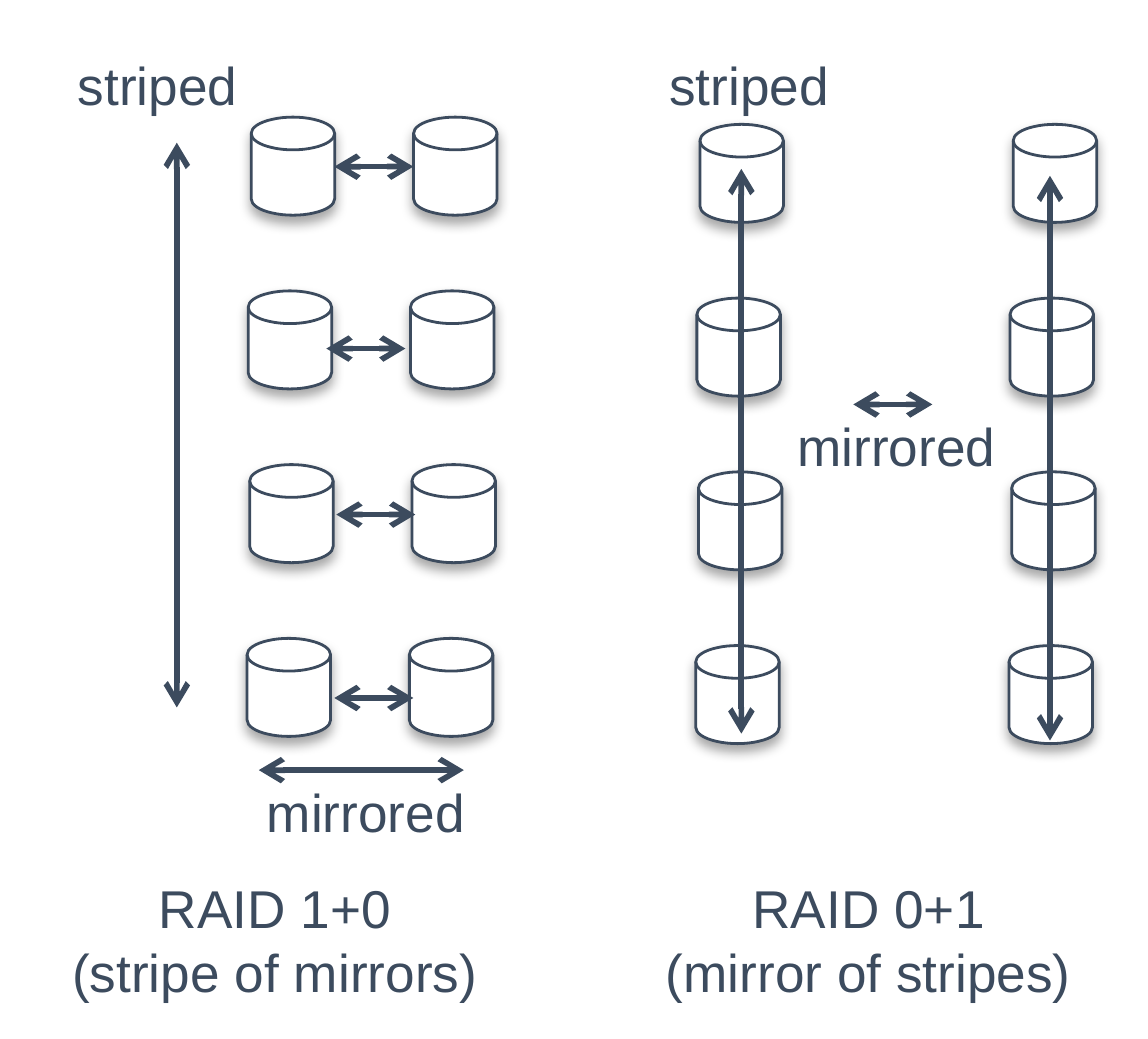
from lxml.etree import SubElement
from pptx import Presentation
from pptx.dml.color import RGBColor
from pptx.enum.shapes import MSO_CONNECTOR, MSO_SHAPE
from pptx.enum.text import MSO_AUTO_SIZE, PP_ALIGN
from pptx.oxml import parse_xml
from pptx.oxml.ns import qn
from pptx.util import Pt

COLORS = {"ink": "3C4B5E", "disk": "FFFFFF", "shadow": "000000"}
FONT = "Arial"
DISK_WIDTH, DISK_HEIGHT, ROW_PITCH = 22, 25.8, 45.75
ROW_SHIFTS = [0, -0.8, -0.4, -1.1]

SCHEMES = [
    {
        "disks": {"left": 66.2, "top": 30.9, "gap": 42.75},
        "arrows": [
            (88.1, 43.9, 108.9, 43.9),
            (86, 91.8, 106.8, 91.8),
            (88.1, 183.8, 108.9, 183.8),
            (88.6, 135.5, 109.4, 135.5),
            (68.2, 202.8, 122.2, 202.8),
            (46.6, 37.6, 46.6, 186.3),
        ],
        "labels": [
            ("mirrored", 63.2, 201.6, 68.4, 24.2, PP_ALIGN.LEFT),
            ("striped", 13.4, 10.3, 59, 24.2, PP_ALIGN.LEFT),
            ("RAID 1+0\n(stripe of mirrors)", 10.5, 227, 124, 41.2, PP_ALIGN.CENTER),
        ],
    },
    {
        "disks": {"left": 184.4, "top": 32.8, "gap": 82.5},
        "arrows": [
            (224.8, 106.5, 245.6, 106.5),
            (195.3, 44.5, 195.3, 193.2),
            (276.6, 46.3, 276.6, 195),
        ],
        "labels": [
            ("mirrored", 203, 105.2, 68.4, 24.2, PP_ALIGN.LEFT),
            ("striped", 169.2, 10.3, 59, 24.2, PP_ALIGN.LEFT),
            ("RAID 0+1\n(mirror of stripes)", 166.6, 227, 124.5, 41.2, PP_ALIGN.CENTER),
        ],
    },
]

SHADOW = (
    '<a:effectLst xmlns:a="http://schemas.openxmlformats.org/drawingml/2006/main">'
    f'<a:outerShdw blurRad="{Pt(3.1)}" dist="{Pt(1.8)}" dir="5400000" rotWithShape="0">'
    f'<a:srgbClr val="{COLORS["shadow"]}"><a:alpha val="35000"/></a:srgbClr>'
    "</a:outerShdw></a:effectLst>"
)


def color(name):
    return RGBColor.from_string(COLORS[name])


def add_disk(group, left, top):
    disk = group.shapes.add_shape(
        MSO_SHAPE.FLOWCHART_MAGNETIC_DISK, Pt(left), Pt(top), Pt(DISK_WIDTH), Pt(DISK_HEIGHT)
    )
    disk.fill.solid()
    disk.fill.fore_color.rgb = color("disk")
    disk.line.color.rgb = color("ink")
    disk.line.width = Pt(0.75)
    disk._element.spPr.append(parse_xml(SHADOW))


def add_arrow(group, ends):
    arrow = group.shapes.add_connector(MSO_CONNECTOR.STRAIGHT, *map(Pt, ends))
    arrow.line.color.rgb = color("ink")
    arrow.line.width = Pt(1.5)
    properties = arrow._element.spPr
    for end in ("a:headEnd", "a:tailEnd"):
        SubElement(properties.find(qn("a:ln")), qn(end), type="arrow")
    SubElement(properties, qn("a:effectLst"))


def add_label(group, text, left, top, width, height, alignment):
    box = group.shapes.add_textbox(Pt(left), Pt(top), Pt(width), Pt(height))
    box.text_frame.word_wrap = False
    box.text_frame.auto_size = MSO_AUTO_SIZE.SHAPE_TO_FIT_TEXT
    para = box.text_frame.paragraphs[0]
    para.text = text
    para.alignment = alignment
    para.font.name = FONT
    para.font.size = Pt(14)
    para.font.color.rgb = color("ink")


def add_scheme(page, scheme):
    group = page.shapes.add_group_shape()
    disks = scheme["disks"]
    for row, shift in enumerate(ROW_SHIFTS):
        for column in range(2):
            left = disks["left"] + shift + column * disks["gap"]
            add_disk(group, left, disks["top"] + row * ROW_PITCH)
    for ends in scheme["arrows"]:
        add_arrow(group, ends)
    for label in scheme["labels"]:
        add_label(group, *label)


def main():
    """Build the slide comparing RAID 1+0 with RAID 0+1."""
    deck = Presentation()
    deck.slide_width, deck.slide_height = Pt(302.4), Pt(273.6)
    page = deck.slides.add_slide(deck.slide_layouts[6])
    for scheme in SCHEMES:
        add_scheme(page, scheme)
    deck.save("out.pptx")


if __name__ == "__main__":
    main()
